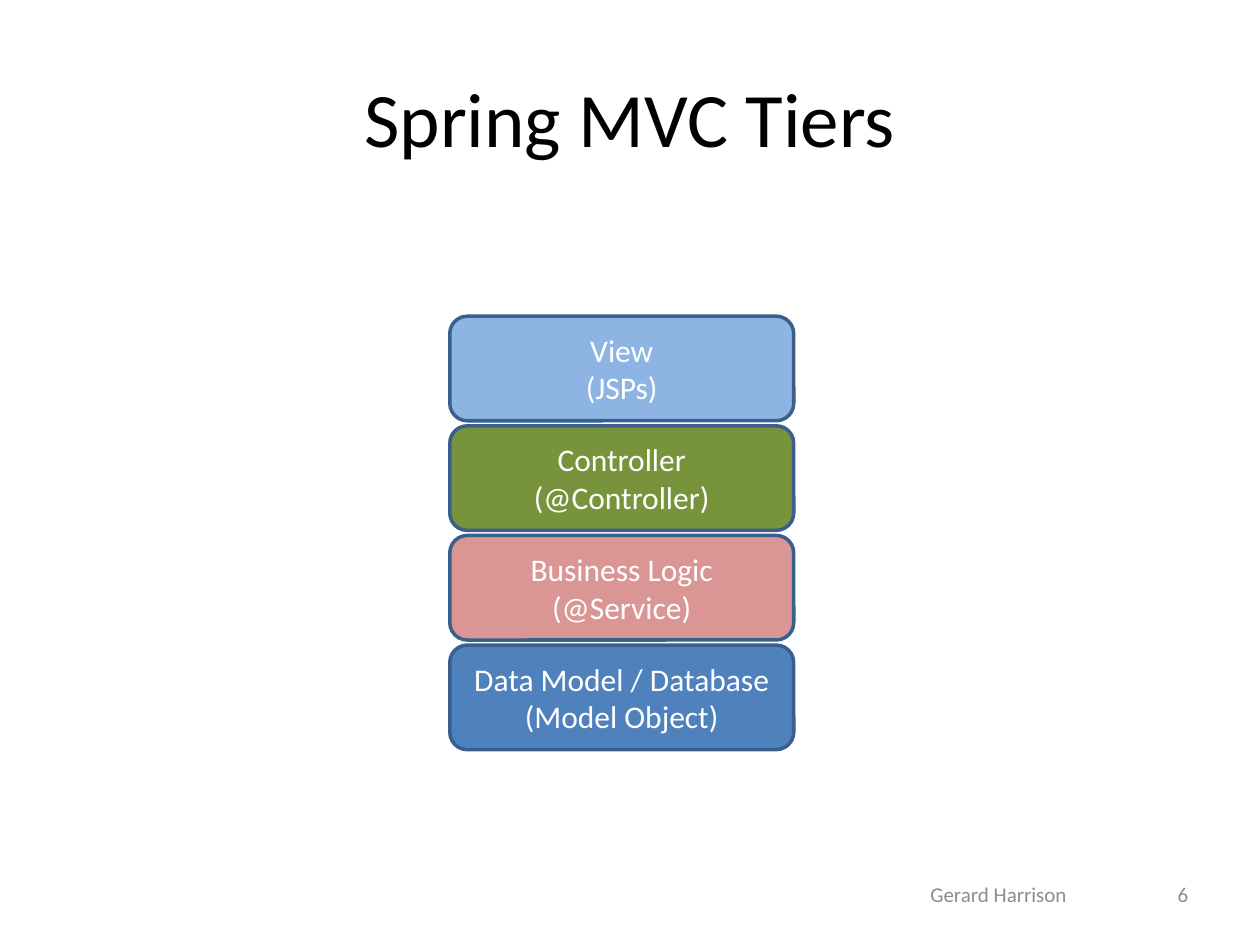
"""Build the slide that stacks the tiers of a Spring MVC application."""
import pptx
import pptx.dml.color
import pptx.enum.shapes
import pptx.enum.text
import pptx.util

RGBColor = pptx.dml.color.RGBColor
BLACK = RGBColor(0x00, 0x00, 0x00)
WHITE = RGBColor(0xFF, 0xFF, 0xFF)
GREY = RGBColor(0x8C, 0x8C, 0x8C)
OUTLINE = RGBColor(0x3A, 0x5F, 0x8C)
SKY = RGBColor(0x8E, 0xB4, 0xE3)
GREEN = RGBColor(0x77, 0x93, 0x3C)
ROSE = RGBColor(0xD9, 0x96, 0x94)
BLUE = RGBColor(0x4F, 0x81, 0xBD)

ALIGN = pptx.enum.text.PP_ALIGN
COLUMNS, ROWS = 100, 75
WIDTH, HEIGHT = pptx.util.Inches(10), pptx.util.Inches(7.5)

TIER_LEFT, TIER_TOP = 35.7, 25.1
TIER_WIDTH, TIER_HEIGHT = 27.3, 8.3
TIER_PITCH = 8.7
TIERS = [
    (("View", "(JSPs)"), SKY),
    (("Controller", "(@Controller)"), GREEN),
    (("Business Logic", "(@Service)"), ROSE),
    (("Data Model / Database", "(Model Object)"), BLUE),
]


def place(left, top, width, height):
    return (round(left * WIDTH / COLUMNS), round(top * HEIGHT / ROWS),
            round(width * WIDTH / COLUMNS), round(height * HEIGHT / ROWS))


def write(shape, lines, size, color, align=ALIGN.CENTER):
    frame = shape.text_frame
    frame.word_wrap = True
    frame.vertical_anchor = pptx.enum.text.MSO_ANCHOR.MIDDLE
    frame.text = "\n".join(lines)
    for paragraph in frame.paragraphs:
        paragraph.alignment = align
        font = paragraph.runs[0].font
        font.name = "Calibri"
        font.size = pptx.util.Pt(size)
        font.color.rgb = color


def add_text(slide, text, area, **text_format):
    write(slide.shapes.add_textbox(*place(*area)), [text], **text_format)


def add_tier(slide, index, lines, fill):
    top = TIER_TOP + index * TIER_PITCH
    shape = slide.shapes.add_shape(
        pptx.enum.shapes.MSO_SHAPE.ROUNDED_RECTANGLE,
        *place(TIER_LEFT, top, TIER_WIDTH, TIER_HEIGHT))
    shape.shadow.inherit = False
    shape.fill.solid()
    shape.fill.fore_color.rgb = fill
    shape.line.color.rgb = OUTLINE
    shape.line.width = pptx.util.Pt(2)
    write(shape, lines, size=18, color=WHITE)


def main():
    presentation = pptx.Presentation()
    presentation.slide_width, presentation.slide_height = WIDTH, HEIGHT
    slide = presentation.slides.add_slide(presentation.slide_layouts[6])
    add_text(slide, "Spring MVC Tiers", (5, 3, 90, 12.5), size=44, color=BLACK)
    add_text(slide, "Gerard Harrison", (63.4, 69, 31.7, 4), size=12, color=GREY)
    add_text(slide, "6", (72, 69, 23.3, 4), size=12, color=GREY, align=ALIGN.RIGHT)
    for index, (lines, fill) in enumerate(TIERS):
        add_tier(slide, index, lines, fill)
    presentation.save("out.pptx")


main()
